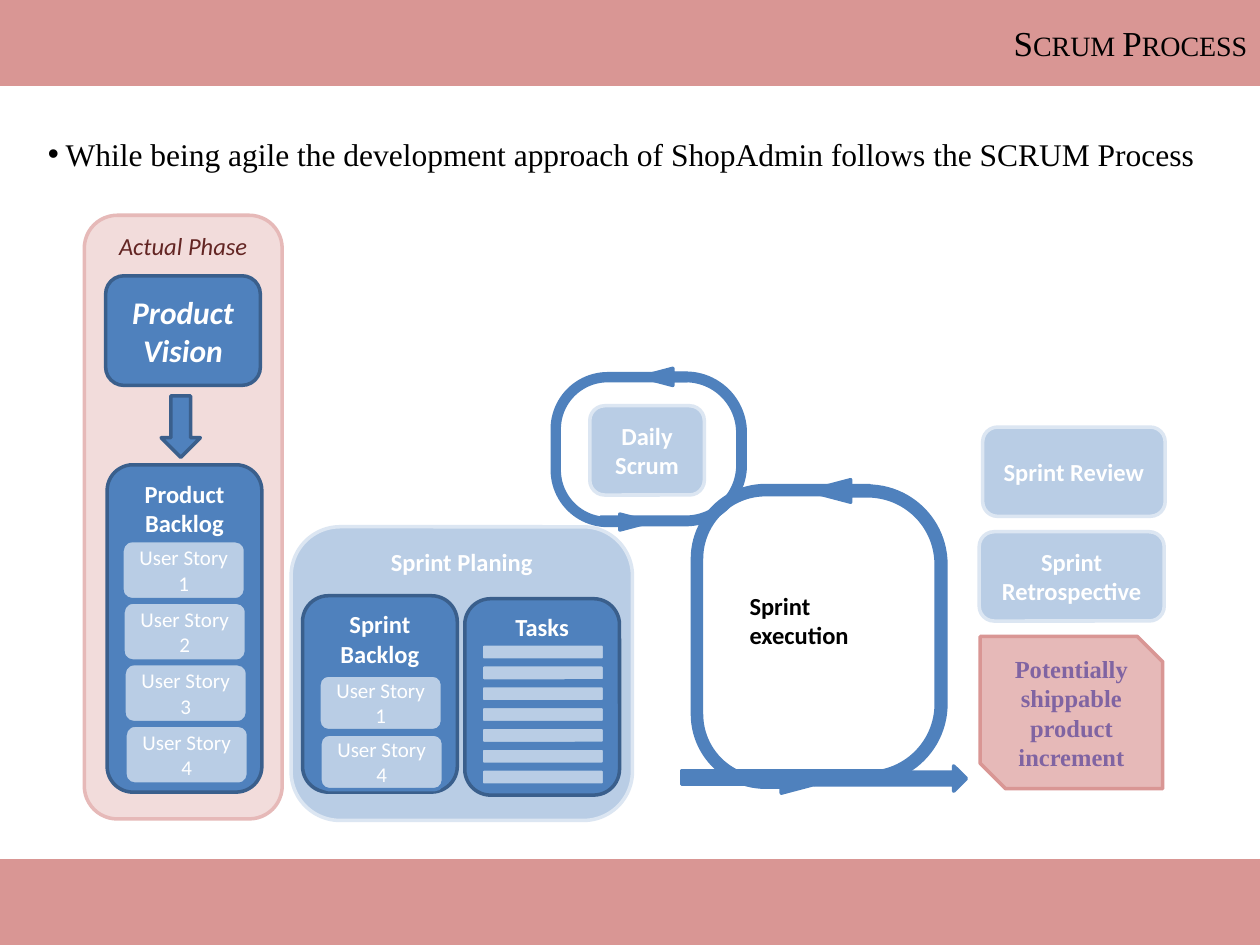
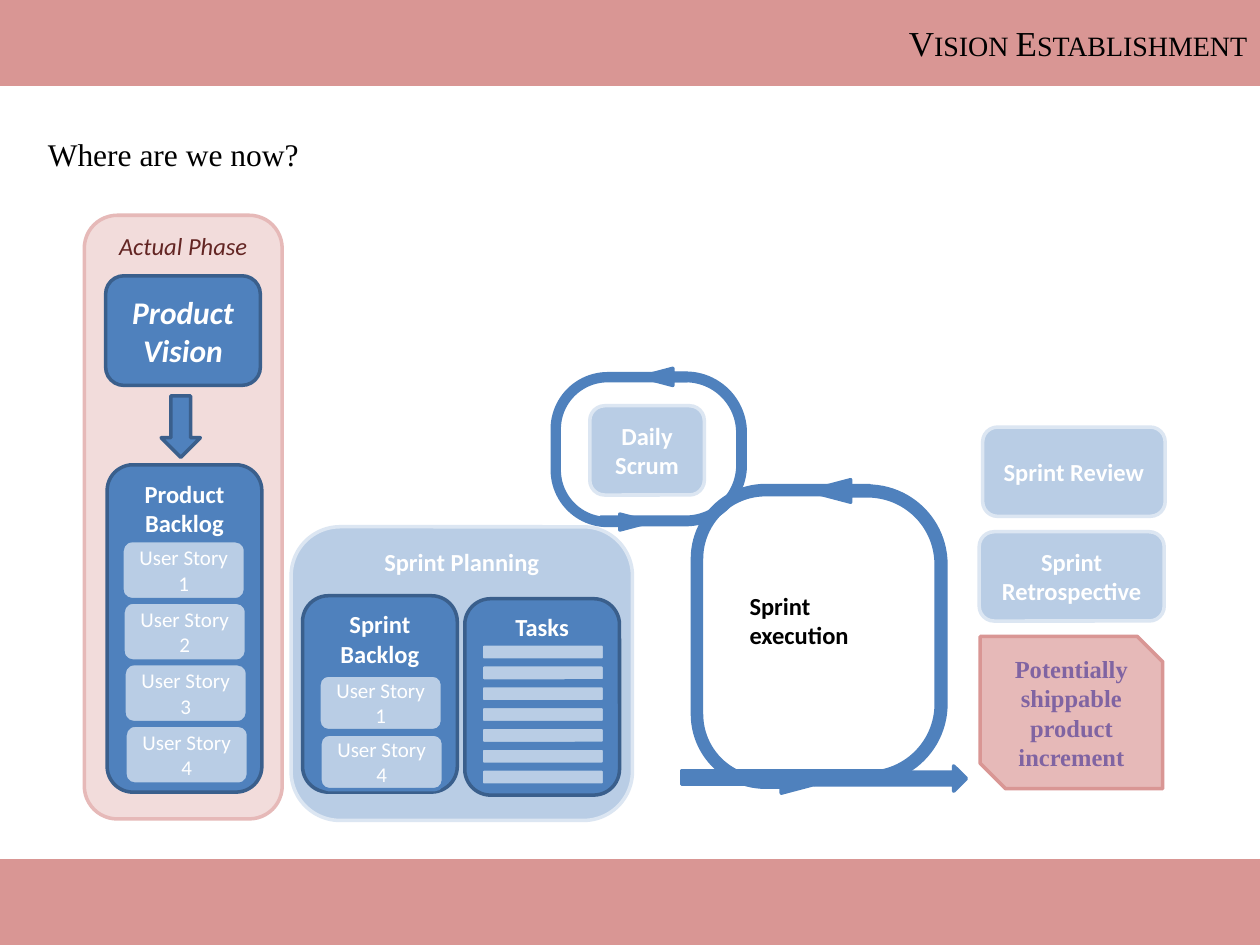
from lxml import etree
from pptx import Presentation
from pptx.dml.color import RGBColor
from pptx.enum.shapes import MSO_SHAPE
from pptx.enum.text import MSO_ANCHOR, MSO_AUTO_SIZE, PP_ALIGN
from pptx.oxml.ns import qn
from pptx.util import Cm, Pt

ROUNDED = MSO_SHAPE.ROUNDED_RECTANGLE
RECTANGLE = MSO_SHAPE.RECTANGLE
U_TURN = MSO_SHAPE.U_TURN_ARROW
NOTCHED_ARROW = MSO_SHAPE.NOTCHED_RIGHT_ARROW
DOWN_ARROW = MSO_SHAPE.DOWN_ARROW
SNIPPED = MSO_SHAPE.SNIP_2_DIAG_RECTANGLE
TOP, MIDDLE = MSO_ANCHOR.TOP, MSO_ANCHOR.MIDDLE
LEFT, CENTER, RIGHT = PP_ALIGN.LEFT, PP_ALIGN.CENTER, PP_ALIGN.RIGHT

SANS, SERIF = "Calibri", "Times New Roman"
WHITE, BLACK = "FFFFFF", "000000"
BLUE, DARK_BLUE = "4F81BD", "3A5F8C"
LIGHT_BLUE, PALE_BLUE = "B9CDE5", "DCE6F2"
BAND, ROSE, PALE_ROSE = "D99694", "E6B9B8", "F2DCDB"
MAROON, PURPLE = "632523", "8064A2"

SLIDE_WIDTH, SLIDE_HEIGHT, BAND_HEIGHT = 25.4, 19.05, 1.73
STEP_WIDTH = 3.12
ITEM_WIDTH, ITEM_SHIFT = 2.49, 0.02
U_TURN_ADJUSTMENTS = (0.051, 0.059, 0.224, 0.411, 0.724)


def color(hex_code):
    return RGBColor.from_string(hex_code)


def place(shape, left, top, width, height):
    shape.left, shape.top = Cm(left), Cm(top)
    shape.width, shape.height = Cm(width), Cm(height)


def write(shape, text, size=14, font_color=WHITE, font=SANS, bold=False,
          italic=False, align=CENTER, anchor=MIDDLE):
    frame = shape.text_frame
    frame.text = text
    frame.word_wrap = True
    frame.auto_size = MSO_AUTO_SIZE.NONE
    frame.vertical_anchor = anchor
    for paragraph in frame.paragraphs:
        paragraph.alignment = align
        paragraph.space_before = Pt(0)
        for span in paragraph.runs:
            span.font.name = font
            span.font.size = Pt(size)
            span.font.bold = bold
            span.font.italic = italic
            span.font.color.rgb = color(font_color)


def add_box(page, area, fill, line=None, kind=ROUNDED, text="", **style):
    box = page.shapes.add_shape(kind, *map(Cm, area))
    box.shadow.inherit = False
    box.fill.solid()
    box.fill.fore_color.rgb = color(fill)
    if line:
        box.line.color.rgb = color(line)
        box.line.width = Pt(2)
    else:
        box.line.fill.background()
    if text:
        write(box, text, **style)
    return box


def add_step(page, text, area, **style):
    """Dark blue box for an artefact of the process."""
    return add_box(page, area, BLUE, DARK_BLUE, text=text, bold=True, **style)


def add_meeting(page, text, area, **style):
    """Light blue box for a meeting of the team."""
    return add_box(page, area, LIGHT_BLUE, PALE_BLUE, text=text, bold=True, **style)


def add_stories(page, numbers, left, top, height, pitch):
    for index, number in enumerate(numbers):
        area = (left + index * ITEM_SHIFT, top + index * pitch, ITEM_WIDTH, height)
        add_box(page, area, LIGHT_BLUE, BLUE, text=f"User Story {number}", size=12)


def add_task_bars(page, left, top, count=7, pitch=0.42):
    for index in range(count):
        add_box(page, (left, top + index * pitch, ITEM_WIDTH, 0.33), LIGHT_BLUE, BLUE)


def add_loop_half(page, area, rotation):
    arrow = add_box(page, area, BLUE, BLUE, U_TURN)
    for index, value in enumerate(U_TURN_ADJUSTMENTS):
        arrow.adjustments[index] = value
    arrow.rotation = rotation
    arrow._element.spPr.get_or_add_xfrm().set("flipH", "1")


def add_title(page, text):
    title = page.shapes.title
    place(title, 0, 0, SLIDE_WIDTH, BAND_HEIGHT)
    title.fill.solid()
    title.fill.fore_color.rgb = color(BAND)
    write(title, text, size=20, font_color=BLACK, font=SERIF, align=RIGHT)
    for span in title.text_frame.paragraphs[0].runs:
        span._r.get_or_add_rPr().set("cap", "small")


def add_lead(page, text, bulleted):
    lead = page.placeholders[1]
    place(lead, 0.71, 2.21, 23.8, 1.37)
    write(lead, text, size=18, font_color=BLACK, font=SERIF, align=LEFT, anchor=TOP)
    paragraph = lead.text_frame.paragraphs[0]
    paragraph.line_spacing = 1.5
    hanging = Cm(0.36) if bulleted else 0
    properties = paragraph._p.get_or_add_pPr()
    properties.set("marL", str(hanging))
    properties.set("indent", str(-hanging))
    if bulleted:
        etree.SubElement(properties, qn("a:buChar")).set("char", "•")
    else:
        etree.SubElement(properties, qn("a:buNone"))


def add_vision_and_backlog(page):
    add_box(page, (1.7, 4.34, 3.99, 12.17), PALE_ROSE, ROSE, text="Actual Phase",
            font_color=MAROON, italic=True, anchor=TOP)
    add_step(page, "Product Vision", (2.13, 5.56, STEP_WIDTH, 2.21),
             size=18, italic=True)
    add_box(page, (3.25, 7.98, 0.79, 1.24), BLUE, DARK_BLUE, DOWN_ARROW)
    add_step(page, "Product Backlog", (2.16, 9.37, STEP_WIDTH, 6.6), anchor=TOP)
    add_stories(page, (1, 2, 3, 4), 2.46, 10.9, height=1.19, pitch=1.24)


def add_planning(page, planning_label):
    add_meeting(page, planning_label, (5.87, 10.62, 6.88, 5.92), anchor=TOP)
    add_step(page, "Sprint Backlog", (6.1, 12.01, STEP_WIDTH, 3.96), anchor=TOP)
    add_stories(page, (1, 4), 6.43, 13.61, height=1.12, pitch=1.19)
    add_step(page, "Tasks", (9.37, 12.07, STEP_WIDTH, 3.96), anchor=TOP)
    add_task_bars(page, 9.7, 12.98)


def add_sprint_loops(page):
    add_loop_half(page, (14.1, 10.8, 6.1, 3.84), 90)
    add_loop_half(page, (12.65, 11.1, 6.2, 3.58), 270)
    add_box(page, (16.41, 15.44, 3.07, 0.51), BLUE, BLUE, NOTCHED_ARROW)
    add_box(page, (13.74, 15.54, 4.34, 0.28), BLUE, BLUE, RECTANGLE)
    label = page.shapes.add_textbox(Cm(14.86), Cm(11.79), Cm(2.54), Cm(1.45))
    write(label, "Sprint\vexecution", font_color=BLACK, bold=True,
          align=LEFT, anchor=TOP)
    label.text_frame.word_wrap = False
    add_loop_half(page, (11.99, 7.54, 3.15, 2.92), 90)
    add_loop_half(page, (10.92, 7.75, 3.15, 2.72), 270)
    add_meeting(page, "Daily Scrum", (11.89, 8.18, 2.31, 1.8))


def add_results(page):
    add_meeting(page, "Sprint Review", (19.81, 8.61, 3.68, 1.8))
    add_meeting(page, "Sprint\nRetrospective", (19.74, 10.72, 3.73, 1.8))
    add_box(page, (19.76, 12.83, 3.68, 3.07), ROSE, BAND, SNIPPED,
            text="Potentially shippable product increment",
            font_color=PURPLE, font=SERIF, bold=True)


def add_process_page(deck, title, lead, planning_label, bulleted=False):
    page = deck.slides.add_slide(deck.slide_layouts[1])
    add_title(page, title)
    add_lead(page, lead, bulleted)
    add_box(page, (0, SLIDE_HEIGHT - BAND_HEIGHT, SLIDE_WIDTH, BAND_HEIGHT),
            BAND, kind=RECTANGLE)
    add_vision_and_backlog(page)
    add_planning(page, planning_label)
    add_sprint_loops(page)
    add_results(page)


def main():
    deck = Presentation()
    deck.slide_width, deck.slide_height = Cm(SLIDE_WIDTH), Cm(SLIDE_HEIGHT)
    add_process_page(
        deck, "Scrum Process",
        "While being agile the development approach of ShopAdmin follows the SCRUM Process",
        "Sprint Planing", bulleted=True)
    add_process_page(deck, "Vision Establishment", "Where are we now?", "Sprint Planning")
    deck.save("out.pptx")


if __name__ == "__main__":
    main()
